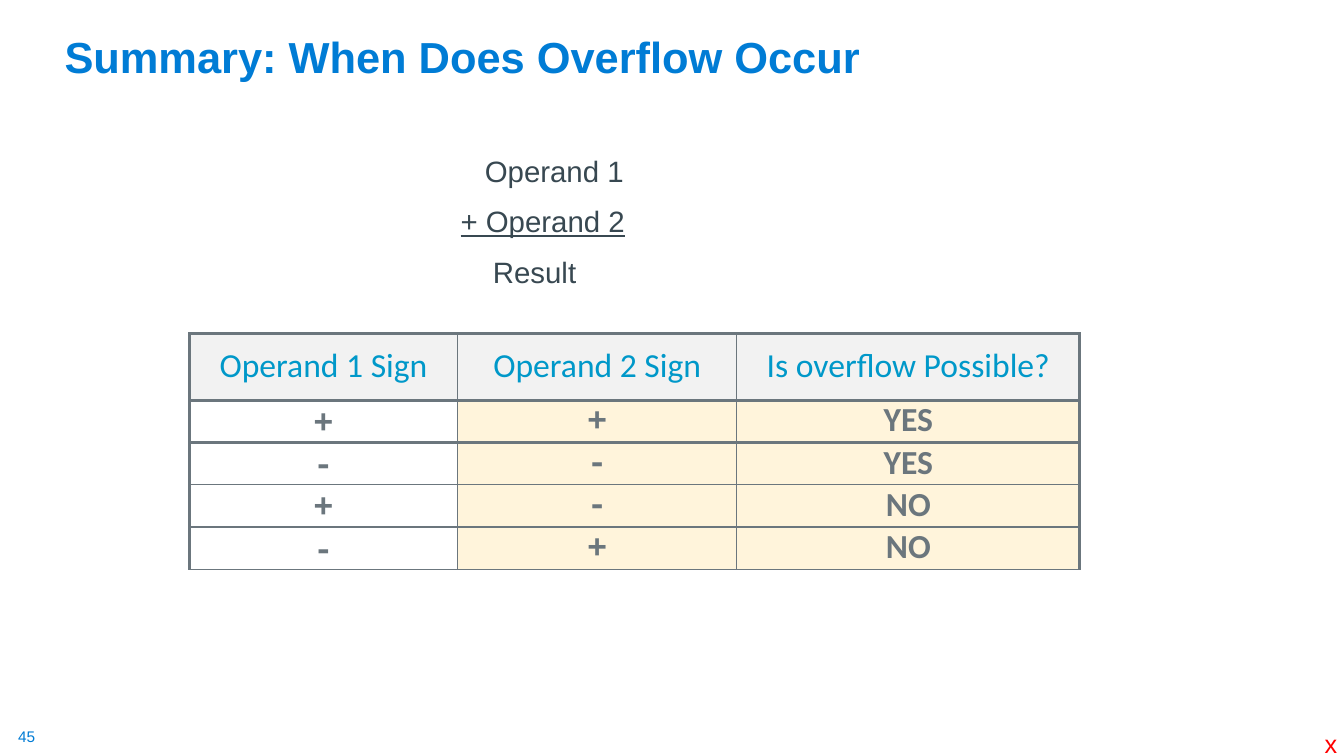
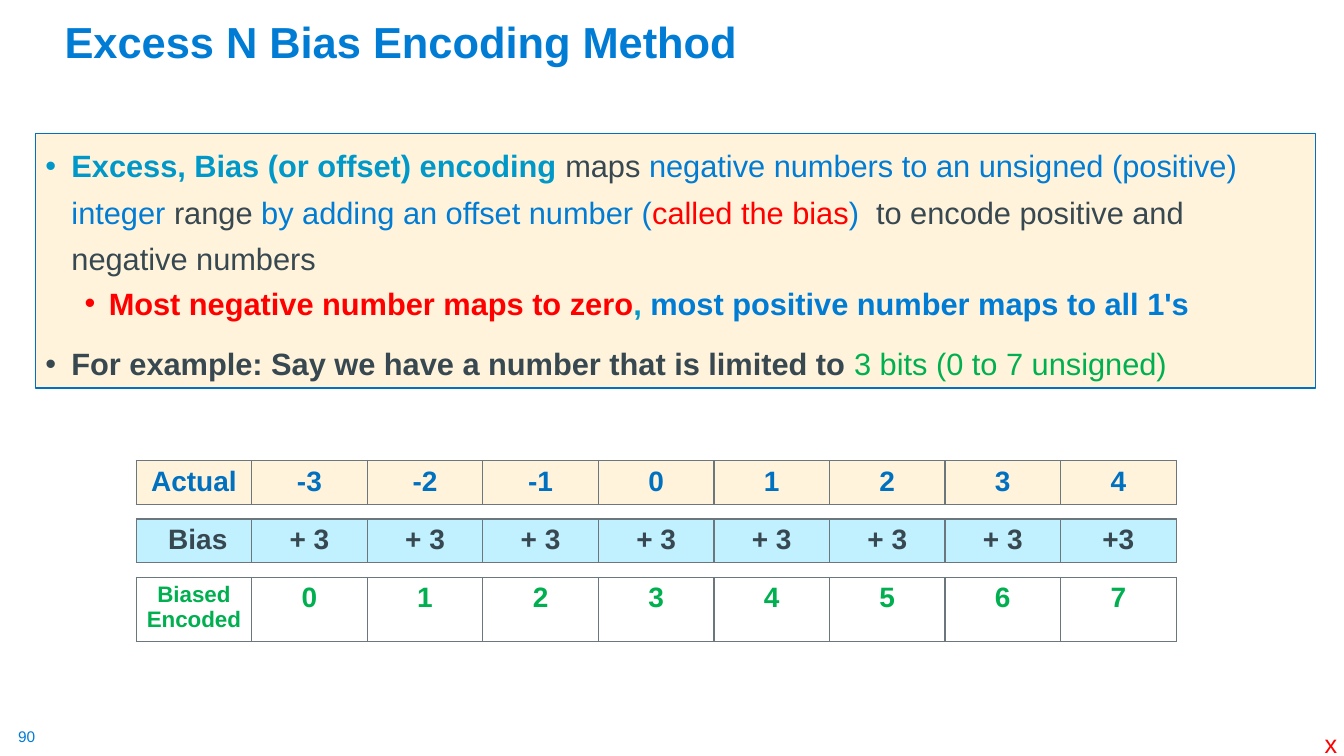
from dataclasses import dataclass
from itertools import accumulate
from typing import NamedTuple, Optional

from lxml.etree import SubElement
from pptx import Presentation
from pptx.dml.color import RGBColor
from pptx.enum.shapes import MSO_SHAPE
from pptx.enum.text import MSO_ANCHOR, MSO_AUTO_SIZE, PP_ALIGN
from pptx.oxml.ns import qn
from pptx.util import Emu, Inches, Pt

WIDTH, HEIGHT = Inches(13.33), Inches(7.5)
TITLE_ONLY = 5

BLUE = RGBColor(0x00, 0x7C, 0xD5)
DEEP_BLUE = RGBColor(0x00, 0x70, 0xC0)
TEAL = RGBColor(0x00, 0x98, 0xC9)
SLATE = RGBColor(0x38, 0x48, 0x51)
GREY = RGBColor(0x6B, 0x76, 0x7D)
LIGHT_GREY = RGBColor(0xF2, 0xF2, 0xF2)
CREAM = RGBColor(0xFF, 0xF4, 0xDB)
SKY = RGBColor(0xC1, 0xF0, 0xFF)
RED = RGBColor(0xFF, 0x00, 0x00)
GREEN = RGBColor(0x00, 0xB0, 0x50)

THIN, THICK = 1, 2.25


def across(percent: float) -> Emu:
    return Emu(round(WIDTH * percent / 100))


def down(percent: float) -> Emu:
    return Emu(round(HEIGHT * percent / 100))


class Box(NamedTuple):
    """A place on the slide, in percent of its width and height."""
    left: float
    top: float
    width: float
    height: float

    def emu(self) -> tuple:
        return (across(self.left), down(self.top),
                across(self.width), down(self.height))


class Run(NamedTuple):
    text: str
    color: RGBColor
    bold: bool = False
    underline: bool = False


@dataclass
class Para:
    runs: list
    indent: float = 0
    hanging: float = 0
    level: int = 0
    before: float = 0
    spacing: Optional[float] = None
    align: PP_ALIGN = PP_ALIGN.LEFT
    bullet: str = ""


@dataclass
class NumberRow:
    label: str
    values: list
    color: RGBColor
    fill: Optional[RGBColor] = None
    label_size: float = 20
    height: float = 5.47


def write(tf, paras: list, *, size: float, font: str = "Arial",
          anchor: MSO_ANCHOR = MSO_ANCHOR.TOP) -> None:
    tf.word_wrap = True
    tf.vertical_anchor = anchor
    for i, para in enumerate(paras):
        p = tf.paragraphs[0] if i == 0 else tf.add_paragraph()
        p.level = para.level
        p.alignment = para.align
        p.space_before = Pt(para.before)
        if para.spacing:
            p.line_spacing = para.spacing
        pPr = p._p.get_or_add_pPr()
        pPr.set("marL", str(Inches(para.indent)))
        pPr.set("indent", str(Inches(-para.hanging)))
        if para.bullet:
            SubElement(pPr, qn("a:buFont")).set("typeface", "Arial")
            SubElement(pPr, qn("a:buChar")).set("char", para.bullet)
        for run in para.runs:
            r = p.add_run()
            r.text = run.text
            r.font.name = font
            r.font.size = Pt(size)
            r.font.bold = run.bold
            r.font.underline = run.underline
            r.font.color.rgb = run.color


def add_text(s, box: Box, paras: list, *, size: float, inset: bool = True) -> None:
    tf = s.shapes.add_textbox(*box.emu()).text_frame
    if not inset:
        tf.margin_left = tf.margin_right = tf.margin_top = tf.margin_bottom = 0
    write(tf, paras, size=size)


def add_slide(prs, title: str, page: str, title_height: float):
    """Add a slide with the shared title, page number and corner mark."""
    s = prs.slides.add_slide(prs.slide_layouts[TITLE_ONLY])
    sp = s.shapes.title
    sp.left, sp.top, sp.width, sp.height = Box(4.05, 1.2, 86.27, title_height).emu()
    sp.text_frame.auto_size = MSO_AUTO_SIZE.NONE
    write(sp.text_frame, [Para([Run(title, BLUE, bold=True)], spacing=0.9)],
          size=31, anchor=MSO_ANCHOR.BOTTOM)
    add_text(s, Box(1.35, 96.13, 1.5, 2.53), [Para([Run(page, BLUE)])],
             size=11, inset=False)
    add_text(s, Box(97.82, 95.73, 2.18, 4.27), [Para([Run("x", RED)])], size=18)
    return s


def set_borders(cell, left: float, right: float, top: float, bottom: float) -> None:
    tcPr = cell._tc.get_or_add_tcPr()
    widths = {"L": left, "R": right, "T": top, "B": bottom}
    for side, width in widths.items():
        ln = SubElement(tcPr, qn(f"a:ln{side}"))
        ln.set("w", str(Pt(width)))
        fill = SubElement(ln, qn("a:solidFill"))
        SubElement(fill, qn("a:srgbClr")).set("val", str(GREY))


def set_fill(cell, color: Optional[RGBColor]) -> None:
    if color is None:
        cell.fill.background()
    else:
        cell.fill.solid()
        cell.fill.fore_color.rgb = color


def add_table(s, left: float, top: float, cols: list, rows: list):
    """Add an unstyled table; column and row sizes are in percent."""
    box = Box(left, top, sum(cols), sum(rows))
    table = s.shapes.add_table(len(rows), len(cols), *box.emu()).table
    table.first_row = table.horz_banding = False
    for col, width in zip(table.columns, cols):
        col.width = across(width)
    for row, height in zip(table.rows, rows):
        row.height = down(height)
    return table


def add_sign_table(s) -> None:
    signs = [
        ["Operand 1 Sign", "Operand 2 Sign", "Is overflow Possible?"],
        ["+", "+", "YES"],
        ["-", "-", "YES"],
        ["+", "-", "NO"],
        ["-", "+", "NO"],
    ]
    table = add_table(s, 14.1, 44.13, [19.95, 20.78, 25.51], [8.8] + [5.6] * 4)
    edges = [THICK, THICK, THICK, THIN, THIN, THIN]
    sides = [THICK, THIN, THIN, THICK]
    for i, texts in enumerate(signs):
        for j, text in enumerate(texts):
            cell = table.cell(i, j)
            header, first = i == 0, j == 0
            set_borders(cell, sides[j], sides[j + 1], edges[i], edges[i + 1])
            set_fill(cell, LIGHT_GREY if header else None if first else CREAM)
            cell.margin_left = cell.margin_right = 0
            cell.margin_top = Inches(0.1)
            cell.margin_bottom = Inches(0.04 if header or not first else 0)
            cell.vertical_anchor = MSO_ANCHOR.MIDDLE
            run = Run(text, TEAL if header else GREY, bold=not header)
            write(cell.text_frame,
                  [Para([run], spacing=0.6, align=PP_ALIGN.CENTER)],
                  size=24, font="Courier New" if text in "+-" else "Calibri",
                  anchor=MSO_ANCHOR.MIDDLE)


def add_number_row(s, row: NumberRow, top: float) -> None:
    texts = [row.label, *row.values]
    table = add_table(s, 10.13, top, [8.6] * len(texts), [row.height])
    for j, text in enumerate(texts):
        cell = table.cell(0, j)
        set_borders(cell, THIN, THIN, THIN, THIN)
        set_fill(cell, row.fill)
        write(cell.text_frame,
              [Para([Run(text, row.color, bold=True)], align=PP_ALIGN.CENTER)],
              size=20 if j else row.label_size)


def build_overflow(prs) -> None:
    s = add_slide(prs, "Summary: When Does Overflow Occur", "45", 10.4)
    add_text(s, Box(33.53, 19.6, 15.98, 19.87), [
        Para([Run("Operand 1", SLATE)], indent=0.24),
        Para([Run("+ Operand 2", SLATE, underline=True)], before=10.8),
        Para([Run("Result", SLATE)], indent=0.32, before=10.8),
    ], size=21)
    add_sign_table(s)


def build_bias(prs) -> None:
    s = add_slide(prs, "Excess N Bias Encoding Method", "90", 8.4)
    sp = s.shapes.add_shape(MSO_SHAPE.RECTANGLE, *Box(2.63, 17.6, 95.27, 33.73).emu())
    sp.shadow.inherit = False
    sp.fill.solid()
    sp.fill.fore_color.rgb = CREAM
    sp.line.color.rgb = DEEP_BLUE
    sp.line.width = Pt(0.75)
    write(sp.text_frame, [
        Para([
            Run("Excess, Bias (or offset) encoding ", TEAL, bold=True),
            Run("maps ", SLATE),
            Run("negative numbers to an unsigned (positive) integer", BLUE),
            Run(" range ", SLATE),
            Run("by adding an offset number (", BLUE),
            Run("called the bias", RED),
            Run(")  ", BLUE),
            Run("to encode positive and negative numbers", SLATE),
        ], indent=0.26, hanging=0.26, spacing=1.25, bullet="•"),
        Para([
            Run("Most negative number maps to zero", RED, bold=True),
            Run(", ", TEAL, bold=True),
            Run("most positive number maps to all 1's", BLUE, bold=True),
        ], indent=0.63, hanging=0.24, level=1, before=6, bullet="•"),
        Para([
            Run("For example: Say we have a number that is limited to ", SLATE, bold=True),
            Run("3 bits (0 to 7 unsigned)", GREEN),
        ], indent=0.26, hanging=0.26, before=10, spacing=1.25, bullet="•"),
    ], size=22)

    rows = [
        NumberRow("Actual", [str(n) for n in range(-3, 5)], DEEP_BLUE, CREAM),
        NumberRow(" Bias", ["+ 3"] * 7 + ["+3"], SLATE, SKY),
        NumberRow("Biased Encoded", [str(n) for n in range(8)], GREEN,
                  label_size=16, height=7.87),
    ]
    gap = 2.26
    tops = accumulate((row.height + gap for row in rows), initial=60.93)
    for row, top in zip(rows, tops):
        add_number_row(s, row, top)


def main() -> None:
    prs = Presentation()
    prs.slide_width, prs.slide_height = WIDTH, HEIGHT
    build_overflow(prs)
    build_bias(prs)
    prs.save("out.pptx")


if __name__ == "__main__":
    main()
